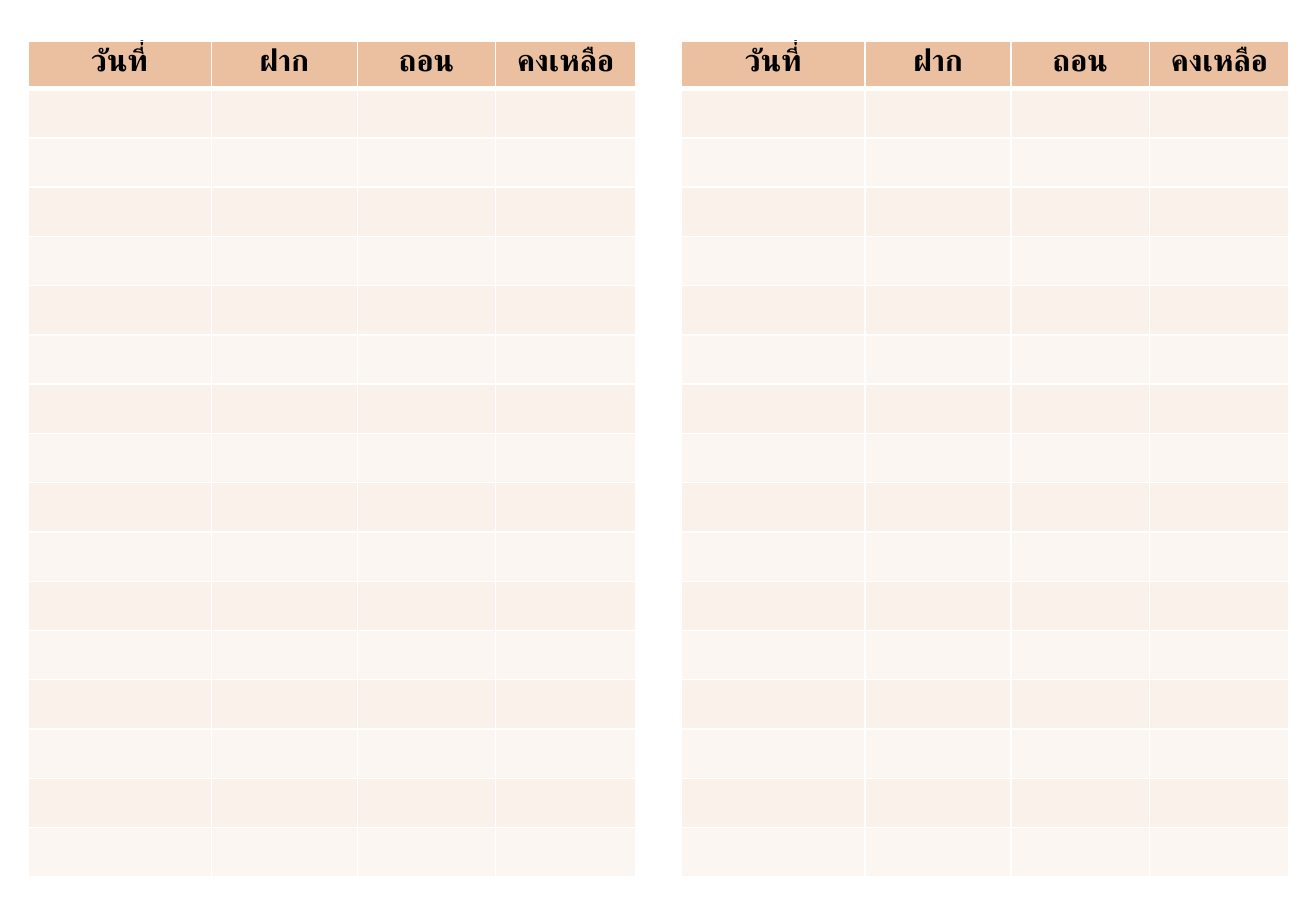
from lxml.etree import SubElement
from pptx import Presentation
from pptx.dml.color import RGBColor
from pptx.enum.text import PP_ALIGN as Align
from pptx.oxml.ns import qn
from pptx.util import Inches, Pt

HEADINGS = ["วันที่", "ฝาก", "ถอน", "คงเหลือ"]
COLUMN_WIDTHS = [1.51, 1.2, 1.14, 1.15]
BODY_ROWS = 16
TABLE_HEIGHT, HEADER_HEIGHT = 6.87, 0.39
BODY_HEIGHT = (TABLE_HEIGHT - HEADER_HEIGHT) / BODY_ROWS
HEADER_FILL, BODY_FILLS = "EAC0A0", ["FAF1EA", "FCF6F2"]


def color(hex_string):
    return RGBColor.from_string(hex_string)


def add_border(cell, side, points):
    line = SubElement(cell._tc.get_or_add_tcPr(), qn(f"a:ln{side}"), w=str(Pt(points)))
    fill = SubElement(line, qn("a:solidFill"))
    SubElement(fill, qn("a:srgbClr"), val="FFFFFF")


deck = Presentation()
deck.slide_width, deck.slide_height = Inches(10.83), Inches(7.5)
page = deck.slides.add_slide(deck.slide_layouts[6])

# Two matching savings ledgers side by side
for left in (0.23, 5.61):
    ledger = page.shapes.add_table(
        BODY_ROWS + 1, len(HEADINGS), Inches(left), Inches(0.34),
        Inches(sum(COLUMN_WIDTHS)), Inches(TABLE_HEIGHT)).table

    for column, width in zip(ledger.columns, COLUMN_WIDTHS):
        column.width = Inches(width)

    # Row heights, white rules and alternating fills
    for index, row in enumerate(ledger.rows):
        row.height = Inches(BODY_HEIGHT if index else HEADER_HEIGHT)
        for cell in row.cells:
            for side in "LRTB":
                thick = (index, side) in [(0, "B"), (1, "T")]
                add_border(cell, side, 3 if thick else 1)
            cell.fill.solid()
            cell.fill.fore_color.rgb = color(
                BODY_FILLS[(index - 1) % 2] if index else HEADER_FILL)

    # Column headings
    for cell, heading in zip(ledger.rows[0].cells, HEADINGS):
        para = cell.text_frame.paragraphs[0]
        para.text = heading
        para.alignment = Align.CENTER
        font = para.runs[0].font
        font.name, font.size, font.bold = "Calibri", Pt(18), True
        font.color.rgb = color("000000")

deck.save("out.pptx")
